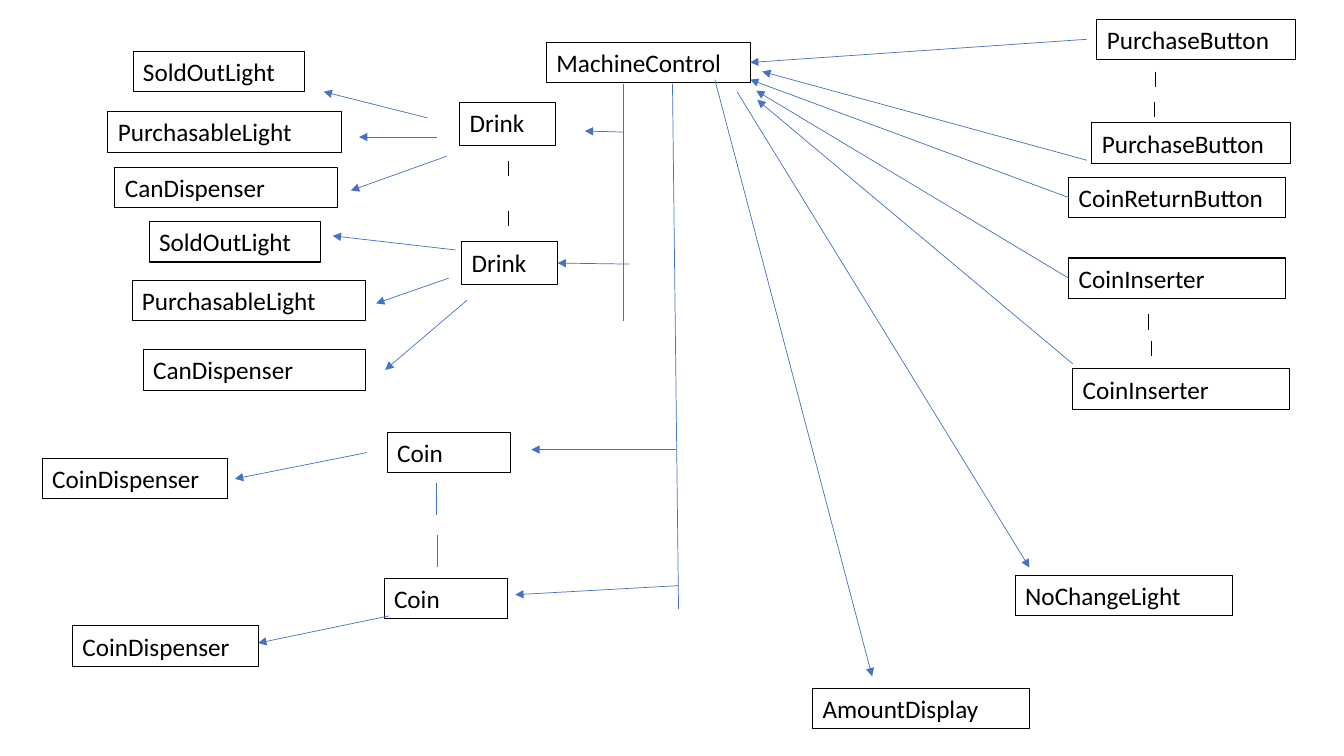
import pptx
import pptx.util
import pptx.dml.color
import pptx.enum.shapes
import pptx.enum.text
import pptx.oxml.ns
from dataclasses import dataclass
from lxml import etree

Inches = pptx.util.Inches
Pt = pptx.util.Pt
RGB = pptx.dml.color.RGBColor
qn = pptx.oxml.ns.qn


@dataclass(frozen=True)
class Theme:
    ink: RGB = RGB(0x00, 0x00, 0x00)
    blue: RGB = RGB(0x44, 0x72, 0xC4)
    font: str = "Calibri"
    size: int = 18
    edge: float = 0.75
    thin: float = 0.5


theme = Theme()
deck = pptx.Presentation()
deck.slide_width, deck.slide_height = Inches(13.33), Inches(7.5)
slide = deck.slides.add_slide(deck.slide_layouts[6])


def write(text, left, top, width, height=0.4, size=theme.size, color=theme.ink):
    box = slide.shapes.add_textbox(Inches(left), Inches(top), Inches(width), Inches(height))
    box.line.color.rgb = theme.ink
    box.line.width = Pt(theme.edge)
    frame = box.text_frame
    frame.word_wrap = True
    frame.auto_size = pptx.enum.text.MSO_AUTO_SIZE.SHAPE_TO_FIT_TEXT
    run = frame.paragraphs[0].add_run()
    run.text = text
    run.font.name = theme.font
    run.font.size = Pt(size)
    run.font.color.rgb = color
    return box


def draw(x1, y1, x2, y2, color=theme.blue, arrow=False):
    line = slide.shapes.add_connector(
        pptx.enum.shapes.MSO_CONNECTOR.STRAIGHT,
        Inches(x1), Inches(y1), Inches(x2), Inches(y2))
    line.line.color.rgb = color
    line.line.width = Pt(theme.thin)
    if arrow:
        etree.SubElement(line.line._get_or_add_ln(), qn("a:tailEnd"), type="triangle")
    etree.SubElement(line._element.spPr, qn("a:effectLst"))
    return line


# Control and the boxes it joins by a side
control = write("MachineControl", left=5.42, top=0.42, width=2.02)
drink = write("Drink", left=4.58, top=2.4, width=0.95, height=0.42)
refund = write("CoinReturnButton", left=10.6, top=1.76, width=2.15)
insert = write("CoinInserter", left=10.6, top=2.56, width=2.15)

# All other boxes: width by name, then each place
parts = {
    "Drink": (0.95, [(4.56, 1.02)]),
    "SoldOutLight": (1.7, [(1.32, 0.51), (1.48, 2.2)]),
    "PurchasableLight": (2.32, [(1.07, 1.11), (1.31, 2.78)]),
    "CanDispenser": (2.21, [(1.14, 1.66), (1.42, 3.47)]),
    "Coin": (1.22, [(3.84, 4.29), (3.81, 5.74)]),
    "CoinDispenser": (1.84, [(0.42, 4.55), (0.72, 6.21)]),
    "PurchaseButton": (1.97, [(10.88, 0.19), (10.83, 1.22)]),
    "CoinInserter": (2.15, [(10.64, 3.66)]),
    "NoChangeLight": (2.15, [(10.07, 5.71)]),
    "AmountDisplay": (2.15, [(8.06, 6.83)]),
}
for name, (width, spots) in parts.items():
    for left, top in spots:
        write(name, left=left, top=top, width=width,
              height=0.42 if name == "Drink" else 0.4)

# Trunk lines below the control
draw(6.18, 0.83, 6.18, 3.18)
draw(6.67, 0.83, 6.73, 6.04)

# Short dashes between repeated boxes
for x, y in [(5.04, 1.6), (5.04, 2.09), (11.46, 0.71), (11.45, 1.01),
             (11.39, 3.12), (11.42, 3.38)]:
    draw(x, y, x, y + 0.15, color=theme.ink)
for x, y in [(4.33, 4.79), (4.34, 5.31)]:
    draw(x, y, x, y + 0.32)

# Arrows that stand free at both ends
for ends in [
    # Trunks to drink and coins
    (6.18, 1.31, 5.8, 1.3), (6.7, 4.46, 5.27, 4.46), (6.73, 5.81, 5.11, 5.9),
    # Drinks to lights and cans
    (4.24, 1.17, 3.21, 0.91), (4.33, 1.36, 3.56, 1.36), (4.43, 1.55, 3.48, 1.89),
    (4.52, 2.48, 3.3, 2.34), (4.45, 2.76, 3.73, 3.01), (4.63, 2.98, 3.82, 3.67),
    # Coins to coin dispensers
    (3.64, 4.49, 2.33, 4.75), (3.86, 6.11, 2.56, 6.38),
    # Inputs to control
    (10.78, 1.59, 7.56, 0.71), (10.64, 3.61, 7.51, 0.99),
    # Control to displays
    (7.31, 0.91, 10.21, 5.63), (7.09, 0.79, 8.65, 6.71),
]:
    draw(*ends, arrow=True)

# Arrows joined to a box side
draw(6.24, 2.62, 5.53, 2.61, arrow=True).end_connect(drink, 3)
draw(10.78, 0.39, 7.44, 0.62, arrow=True).end_connect(control, 3)
draw(10.6, 1.96, 7.44, 0.79, arrow=True).begin_connect(refund, 1)
draw(10.6, 2.76, 7.5, 0.9, arrow=True).begin_connect(insert, 1)

deck.save("out.pptx")
